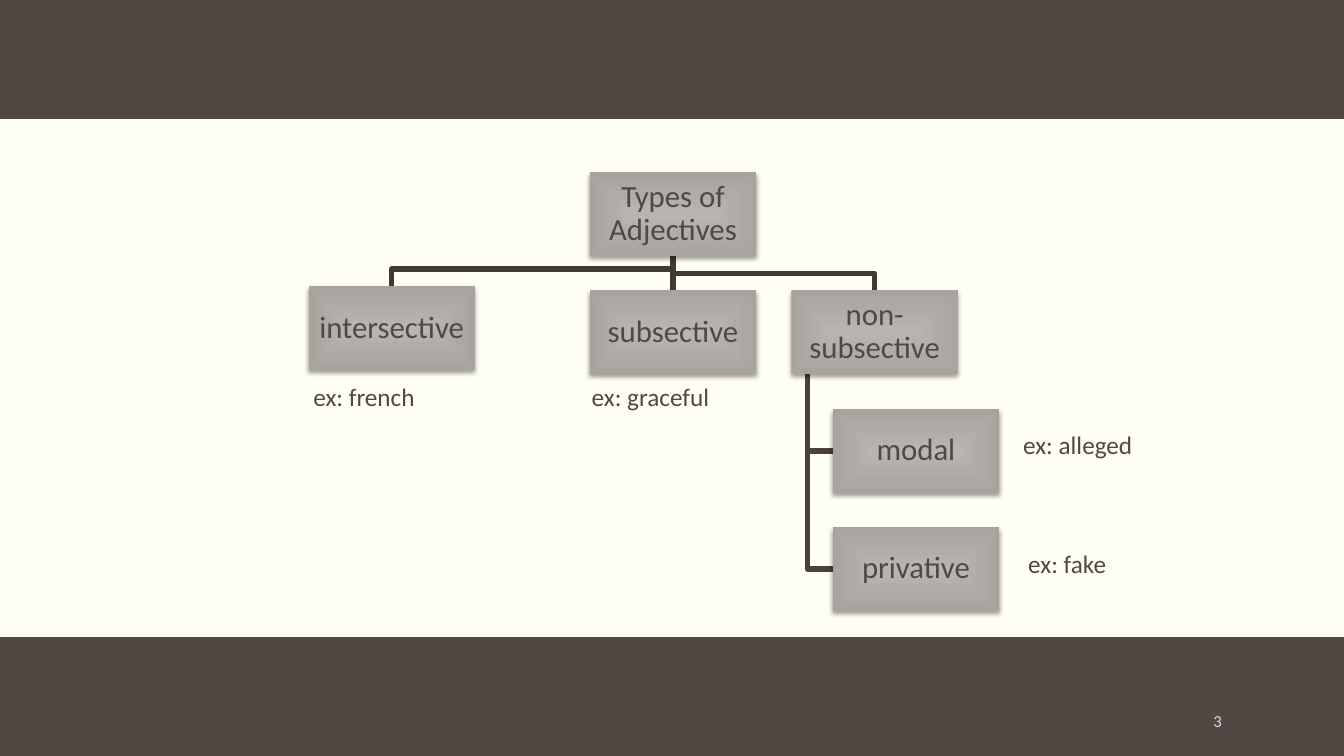
"""Build a slide with a tree of adjective types and an example for each."""
from lxml import etree
from pptx import Presentation
from pptx.dml.color import RGBColor
from pptx.enum.shapes import MSO_CONNECTOR, MSO_SHAPE
from pptx.enum.text import MSO_ANCHOR, PP_ALIGN
from pptx.oxml import parse_xml
from pptx.oxml.ns import nsdecls, qn
from pptx.util import Inches, Pt

COLORS = {
    "paper": "FFFFF3", "band": "514843", "text": "514843", "number": "DEDAD7",
    "box_center": "B9B4B1", "box_edge": "A9A29E", "branch": "413A36", "twig": "4A413D",
}
FONT = "Calibri"
SLIDE_W, SLIDE_H, BAND_H = 13.33, 7.5, 1.18
BOX_W, BOX_H = 1.65, 0.83
BEND_RISE, TRUNK_INSET = 0.17, 0.16

NODES = {
    "root": ("Types of Adjectives", 5.85, 1.71),
    "intersective": ("intersective", 3.06, 2.84),
    "subsective": ("subsective", 5.85, 2.88),
    "non-subsective": ("non-subsective", 7.85, 2.88),
    "modal": ("modal", 8.26, 4.06),
    "privative": ("privative", 8.26, 5.23),
}
TWIGS = [("non-subsective", "privative"), ("non-subsective", "modal")]
BRANCHES = [("root", "non-subsective"), ("root", "subsective"), ("root", "intersective")]
EXAMPLES = [
    ("ex: french", 3.01, 3.73, 2.04),
    ("ex: graceful", 5.77, 3.73, 1.95),
    ("ex: alleged", 10.05, 4.21, 1.5),
    ("ex: fake", 10.1, 5.39, 1.5),
]
SLIDE_NUMBER = ("3", 10.12, 6.95, 2)


def rgb(name):
    return RGBColor.from_string(COLORS[name])


def write(shape, text, size, color, align=PP_ALIGN.LEFT):
    shape.text_frame.word_wrap = True
    paragraph = shape.text_frame.paragraphs[0]
    paragraph.alignment = align
    run = paragraph.add_run()
    run.text = text
    run.font.name, run.font.size = FONT, Pt(size)
    run.font.color.rgb = rgb(color)
    return paragraph


def add_band(slide, top):
    band = slide.shapes.add_shape(
        MSO_SHAPE.RECTANGLE, 0, Inches(top), Inches(SLIDE_W), Inches(BAND_H))
    band.shadow.inherit = False
    band.fill.solid()
    band.fill.fore_color.rgb = rgb("band")
    band.line.fill.background()


def add_link(slide, points, color):
    corners = [(Inches(x), Inches(y)) for x, y in points]
    if len({x for x, _ in corners}) == 1:
        link = slide.shapes.add_connector(
            MSO_CONNECTOR.STRAIGHT, *corners[0], *corners[-1])
        etree.SubElement(link._element.spPr, qn("a:effectLst"))
    else:
        builder = slide.shapes.build_freeform(*corners[0])
        builder.add_line_segments(corners[1:], close=False)
        link = builder.convert_to_shape()
        link.shadow.inherit = False
        link.fill.background()
    link.line.color.rgb = rgb(color)
    link.line.width = Pt(3.78)


def branch_points(parent, child):
    _, parent_x, parent_y = NODES[parent]
    _, child_x, child_y = NODES[child]
    start_x, end_x = parent_x + BOX_W / 2, child_x + BOX_W / 2
    bend_y = child_y - BEND_RISE
    return [(start_x, parent_y + BOX_H), (start_x, bend_y), (end_x, bend_y), (end_x, child_y)]


def twig_points(parent, child):
    _, parent_x, parent_y = NODES[parent]
    _, child_x, child_y = NODES[child]
    trunk_x, child_middle = parent_x + TRUNK_INSET, child_y + BOX_H / 2
    return [(trunk_x, parent_y + BOX_H), (trunk_x, child_middle), (child_x, child_middle)]


def add_node(slide, text, left, top):
    node = slide.shapes.add_shape(
        MSO_SHAPE.RECTANGLE, Inches(left), Inches(top), Inches(BOX_W), Inches(BOX_H))
    node.line.fill.background()
    node.fill.gradient()
    for stop, color, position in zip(node.fill.gradient_stops, ("box_center", "box_edge"), (0, 1)):
        stop.color.rgb = rgb(color)
        stop.position = position
    gradient = node._element.spPr.find(qn("a:gradFill"))
    gradient.replace(gradient.find(qn("a:lin")), parse_xml(
        f'<a:path {nsdecls("a")} path="rect">'
        '<a:fillToRect l="50000" t="50000" r="50000" b="50000"/></a:path>'))
    node.shadow.inherit = False
    node._element.spPr.find(qn("a:effectLst")).append(parse_xml(
        f'<a:outerShdw {nsdecls("a")} blurRad="{Pt(3.5)}" dist="{Pt(2)}" dir="5400000" '
        'rotWithShape="0"><a:srgbClr val="000000"><a:alpha val="38000"/></a:srgbClr>'
        '</a:outerShdw>'))
    frame = node.text_frame
    frame.margin_left = frame.margin_right = Inches(0.02)
    frame.margin_top = frame.margin_bottom = Inches(0.02)
    frame.vertical_anchor = MSO_ANCHOR.MIDDLE
    write(node, text, 22, "text", PP_ALIGN.CENTER).line_spacing = 0.9


def add_label(slide, left, top, width):
    return slide.shapes.add_textbox(Inches(left), Inches(top), Inches(width), Inches(0.4))


def main():
    deck = Presentation()
    deck.slide_width, deck.slide_height = Inches(SLIDE_W), Inches(SLIDE_H)
    slide = deck.slides.add_slide(deck.slide_layouts[6])
    slide.background.fill.solid()
    slide.background.fill.fore_color.rgb = rgb("paper")
    for top in (0, SLIDE_H - BAND_H):
        add_band(slide, top)
    for parent, child in TWIGS:
        add_link(slide, twig_points(parent, child), "twig")
    for parent, child in BRANCHES:
        add_link(slide, branch_points(parent, child), "branch")
    for text, left, top in NODES.values():
        add_node(slide, text, left, top)
    for text, *place in EXAMPLES:
        write(add_label(slide, *place), text, 18, "text")
    text, *place = SLIDE_NUMBER
    number = add_label(slide, *place)
    number.text_frame.margin_left = number.text_frame.margin_right = 0
    number.text_frame.vertical_anchor = MSO_ANCHOR.MIDDLE
    write(number, text, 12, "number", PP_ALIGN.RIGHT)
    deck.save("out.pptx")


if __name__ == "__main__":
    main()
